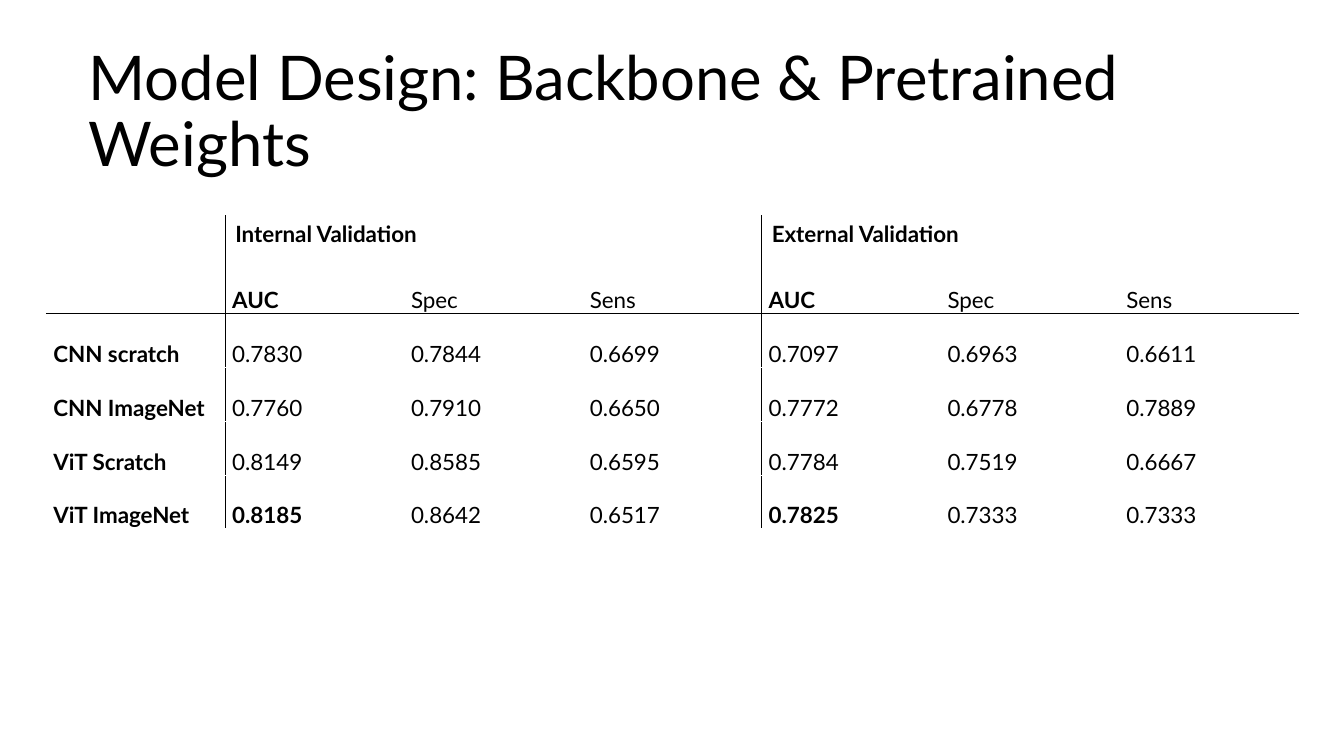
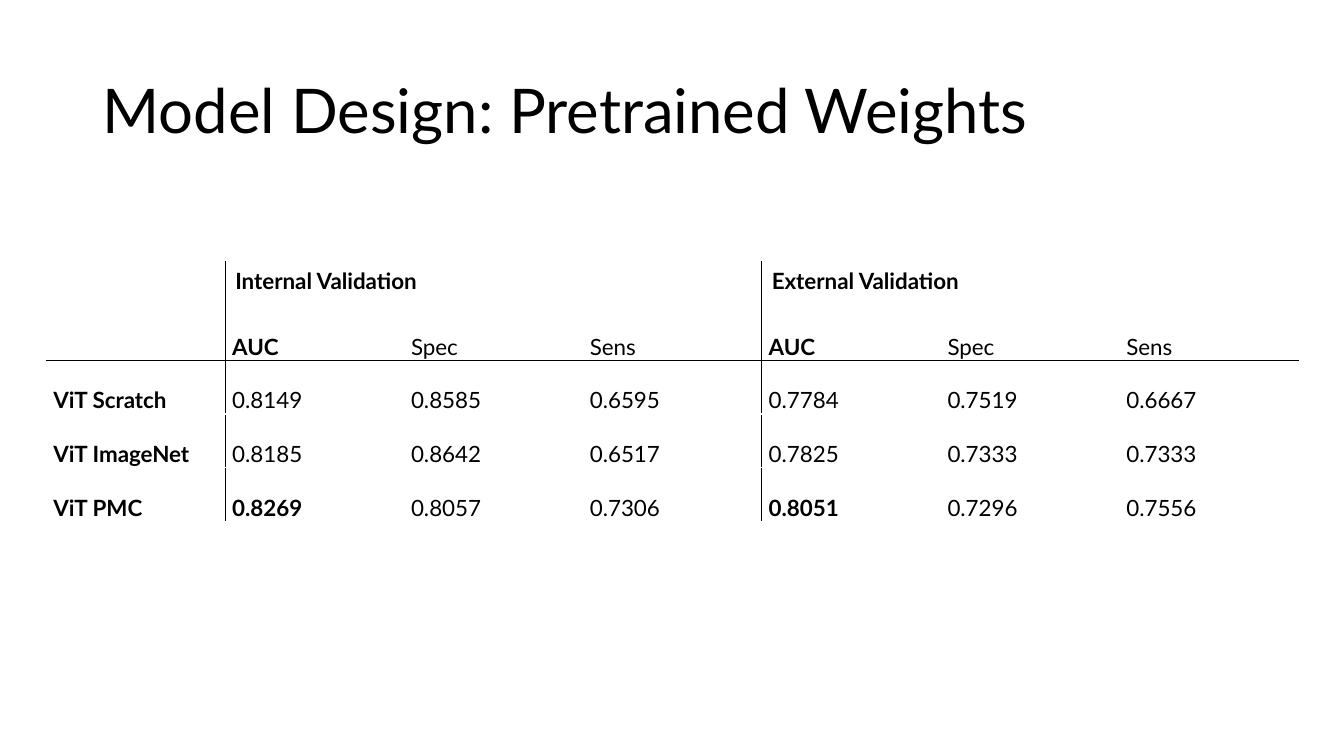
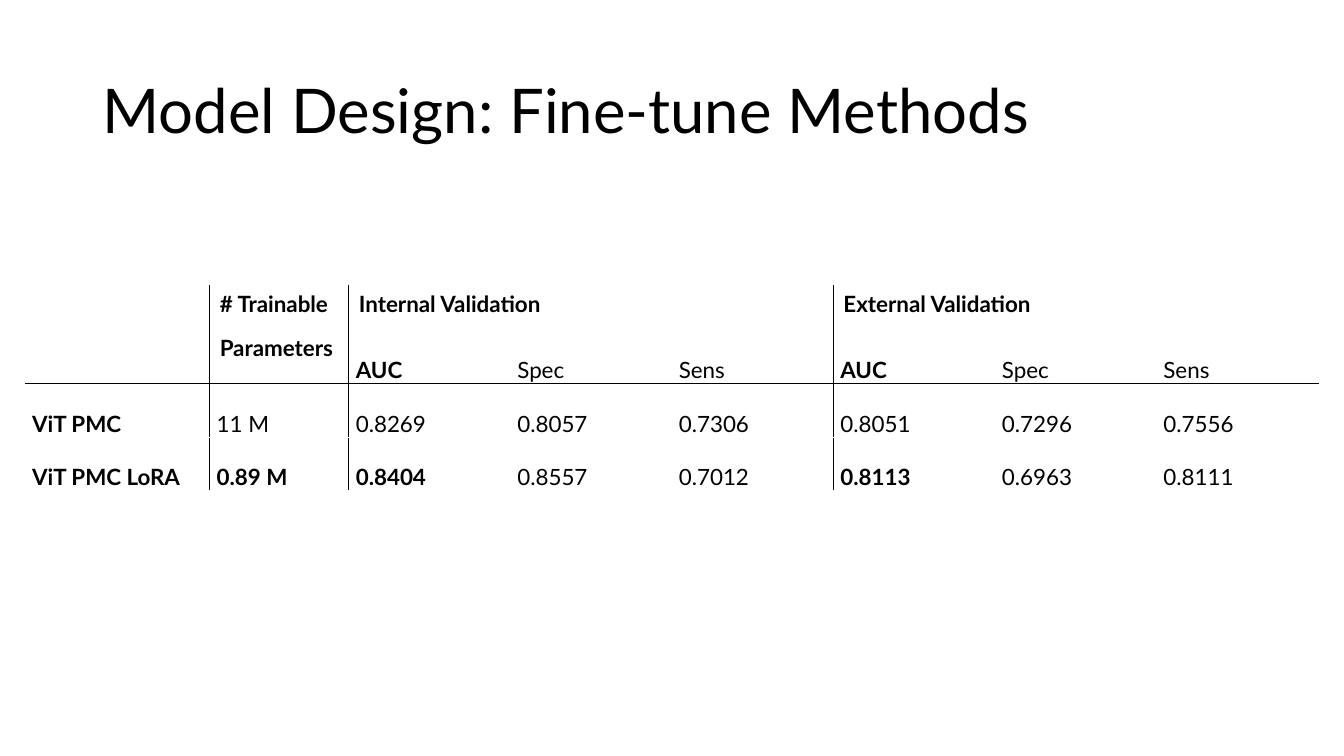
from dataclasses import dataclass

from lxml.etree import SubElement
from pptx import Presentation
from pptx.dml.color import RGBColor
from pptx.enum.text import MSO_ANCHOR
from pptx.oxml.ns import qn
from pptx.slide import Slide
from pptx.table import _Cell
from pptx.util import Inches, Pt

BLACK = RGBColor(0x00, 0x00, 0x00)
WHITE = RGBColor(0xFF, 0xFF, 0xFF)
FONT = "Lato"
ROW = 0.44
SPAN = 3  # columns under each validation heading
SCORES = ["AUC", "Spec", "Sens"] * 2


@dataclass
class Page:
    title: str
    title_x: float
    title_w: float
    left: float
    top: float
    cols: list[float]
    cuts: list[int]  # columns with a black rule on their left
    heads: list[list[str]]
    rows: list[str]  # cells parted by |


HEADS = [["", "Internal Validation", "", "", "External Validation", "", ""],
         ["", *SCORES]]
WIDE = [["", "# Trainable", *HEADS[0][1:]], ["", "Parameters", *SCORES]]

SCRATCH = "ViT Scratch|0.8149|0.8585|0.6595|0.7784|0.7519|0.6667"
IMAGENET = "ViT ImageNet|0.8185|0.8642|0.6517|0.7825|0.7333|0.7333"
PMC = "0.8269|0.8057|0.7306|0.8051|0.7296|0.7556"

PAGES = [
    Page("Model Design: Backbone & Pretrained Weights", 0.78, 11.78,
         0.46, 2.14, [1.774] * 7, [1, 4], HEADS,
         ["CNN scratch|0.7830|0.7844|0.6699|0.7097|0.6963|0.6611",
          "CNN ImageNet|0.7760|0.7910|0.6650|0.7772|0.6778|0.7889",
          SCRATCH, IMAGENET]),
    Page("Model Design: Pretrained Weights", 0.92, 11.5,
         0.46, 2.6, [1.774] * 7, [1, 4], HEADS,
         [SCRATCH, IMAGENET, f"ViT PMC|{PMC}"]),
    Page("Model Design: Fine-tune Methods", 0.92, 11.5,
         0.25, 2.83, [1.83, 1.38] + [1.602] * 6, [1, 2, 5], WIDE,
         [f"ViT PMC|11 M|{PMC}",
          "ViT PMC LoRA|0.89 M|0.8404|0.8557|0.7012|0.8113|0.6963|0.8111"]),
]


def add_title(slide: Slide, page: Page) -> None:
    box = slide.shapes.add_textbox(Inches(page.title_x), Inches(0.4),
                                   Inches(page.title_w), Inches(1.45))
    frame = box.text_frame
    frame.word_wrap = True
    frame.vertical_anchor = MSO_ANCHOR.MIDDLE
    frame.text = page.title
    para = frame.paragraphs[0]
    para.line_spacing = 0.9
    para.font.size = Pt(44)
    para.font.name = FONT
    para.font.color.rgb = BLACK


def set_edge(cell: _Cell, side: str, color: RGBColor | None) -> None:
    """Draw one cell border, or clear it when there is no colour."""
    line = SubElement(cell._tc.get_or_add_tcPr(), qn(f"a:ln{side}"), w=str(Pt(1)))
    if color is None:
        SubElement(line, qn("a:noFill"))
    else:
        fill = SubElement(line, qn("a:solidFill"))
        SubElement(fill, qn("a:srgbClr"), val=str(color))


def set_text(cell: _Cell, text: str, bold: bool, tight: bool) -> None:
    cell.text_frame.text = text
    para = cell.text_frame.paragraphs[0]
    if tight:
        cell.margin_left = cell.margin_right = Inches(0.07)
        cell.margin_top = cell.margin_bottom = 0
        para.line_spacing = 2.0
        para.space_after = Pt(8)
    para.font.size = Pt(16)
    para.font.name = FONT
    para.font.bold = bold
    para.font.color.rgb = BLACK


def add_scores(slide: Slide, page: Page) -> None:
    grid = page.heads + [row.split("|") for row in page.rows]
    last = len(grid) - 1
    table = slide.shapes.add_table(
        len(grid), len(page.cols), Inches(page.left), Inches(page.top),
        Inches(sum(page.cols)), Inches(ROW * len(grid))).table
    table.first_row = table.horz_banding = False
    for col, width in zip(table.columns, page.cols):
        col.width = Inches(width)

    for r, row in enumerate(grid):
        table.rows[r].height = Inches(ROW)
        for c, text in enumerate(row):
            cell = table.cell(r, c)
            merged = r == 0 and text.endswith("Validation")
            if merged:
                cell.merge(table.cell(r, c + SPAN - 1))
            # Borders: black at the cuts and under the heading rows
            end = c + (SPAN if merged else 1)
            set_edge(cell, "L", BLACK if c in page.cuts else WHITE)
            set_edge(cell, "R", BLACK if end in page.cuts else WHITE)
            set_edge(cell, "T", {1: None, 2: BLACK}.get(r, WHITE))
            set_edge(cell, "B", {0: None, 1: BLACK}.get(r, WHITE))
            cell.fill.background()
            # Text: headings, row names and the best scores are bold
            if text:
                bold = r == 0 or c == 0 or (c in page.cuts and r in (1, last))
                set_text(cell, text, bold, r > 0 and text != "Parameters")


def main() -> None:
    deck = Presentation()
    deck.slide_width, deck.slide_height = Inches(13.33), Inches(7.5)
    for page in PAGES:
        slide = deck.slides.add_slide(deck.slide_layouts[6])
        add_title(slide, page)
        add_scores(slide, page)
    deck.save("out.pptx")


if __name__ == "__main__":
    main()
